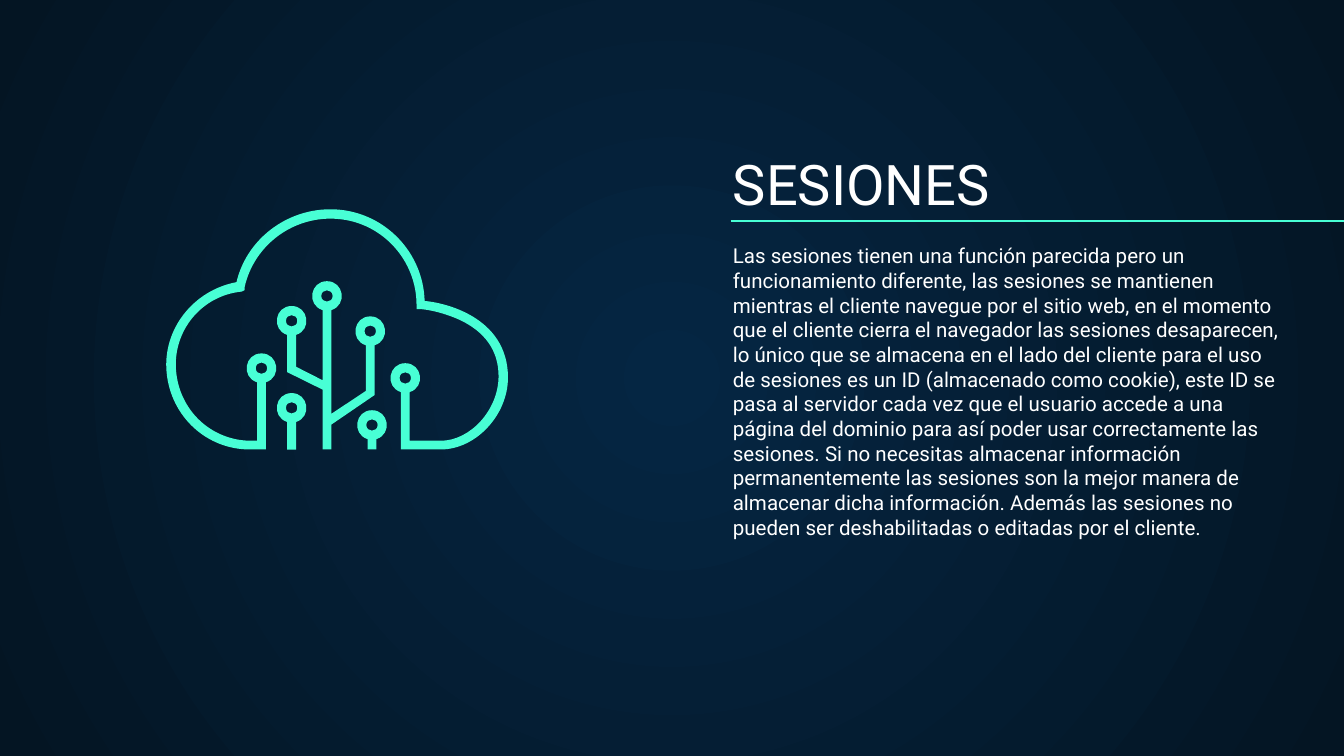
import math

from lxml import etree
from pptx import Presentation
from pptx import util as u
from pptx.dml.color import RGBColor
from pptx.enum import shapes, text
from pptx.oxml.ns import qn

NAVY = RGBColor(0x05, 0x26, 0x43)
NIGHT = RGBColor(0x04, 0x15, 0x23)
MINT = RGBColor(0x48, 0xFF, 0xD5)
WHITE = RGBColor(0xFF, 0xFF, 0xFF)
FONT = "Roboto"

# The icon is drawn on a grid with this unit
GRID = u.Cm(0.0254)
FINE = 20  # steps per grid unit, as freeform points are whole numbers
RING, HOLE, HALF_STEM = 11, 4.2, 3.3
FLOOR = 334.5  # where the stems and the cloud end

BODY = (
    "Las sesiones tienen una función parecida pero un funcionamiento diferente, "
    "las sesiones se mantienen mientras el cliente navegue por el sitio web, en el "
    "momento que el cliente cierra el navegador las sesiones desaparecen, lo único "
    "que se almacena en el lado del cliente para el uso de sesiones es un ID "
    "(almacenado como cookie), este ID se pasa al servidor cada vez que el usuario "
    "accede a una página del dominio para así poder usar correctamente las "
    "sesiones. Si no necesitas almacenar información permanentemente las sesiones "
    "son la mejor manera de almacenar dicha información. Además las sesiones no "
    "pueden ser deshabilitadas o editadas por el cliente."
)


def paint_background(slide):
    """Radial gradient from the centre of the slide."""
    fill = slide.background.fill
    fill.gradient()
    for stop, color, position in zip(fill.gradient_stops, (NAVY, NIGHT), (0, 1)):
        stop.color.rgb = color
        stop.position = position
    gradient = slide.element.find(".//" + qn("a:gradFill"))
    gradient.remove(gradient.find(qn("a:lin")))
    circle = etree.SubElement(gradient, qn("a:path"), path="circle")
    etree.SubElement(circle, qn("a:fillToRect"),
                     {side: "50000" for side in ("l", "t", "r", "b")})


def write_text(box, words, size, anchor):
    frame = box.text_frame
    frame.text = words
    frame.word_wrap = True
    frame.auto_size = text.MSO_AUTO_SIZE.NONE
    frame.vertical_anchor = anchor
    frame.margin_left = frame.margin_right = u.Cm(0.25)
    frame.margin_top = frame.margin_bottom = u.Cm(0.25)
    para = frame.paragraphs[0]
    para.alignment = text.PP_ALIGN.LEFT
    font = para.runs[0].font
    font.name, font.size, font.color.rgb = FONT, u.Pt(size), WHITE


def add_rule(slide, left, top, right):
    rule = slide.shapes.add_connector(
        shapes.MSO_CONNECTOR.STRAIGHT, u.Cm(left), u.Cm(top), u.Cm(right), u.Cm(top))
    rule.line.color.rgb = MINT
    rule.line.width = u.Pt(0.75)
    etree.SubElement(rule.element.spPr, qn("a:effectLst"))


# A contour is a list of segments: one point is a line, three are a cubic curve.
def ring(x, y):
    """Outer edge of a node, from the right side of its stem to the left."""
    drop = math.sqrt(RING ** 2 - HALF_STEM ** 2)
    sweep = math.pi - math.asin(HALF_STEM / RING)
    reach = 4 / 3 * math.tan(sweep / 4)
    side = HALF_STEM + reach * drop
    low = y + drop - reach * HALF_STEM
    top = y - RING
    return [[(x + HALF_STEM, y + drop)],
            [(x + side, low), (x + reach * RING, top), (x, top)],
            [(x - reach * RING, top), (x - side, low), (x - HALF_STEM, y + drop)]]


def hole(x, y):
    """Two half circles."""
    left, right, reach = x - HOLE, x + HOLE, HOLE * 4 / 3
    return [[(left, y)],
            [(left, y - reach), (right, y - reach), (right, y)],
            [(right, y + reach), (left, y + reach), (left, y)]]


def lines(*points):
    return [[point] for point in points]


def curves(*points):
    return [list(points[i:i + 3]) for i in range(0, len(points), 3)]


def bend_segments(outline, contours):
    """Turn each run of three curve points into one cubic curve."""
    steps = iter(outline.element.findall(".//" + qn("a:lnTo")))
    for contour in contours:
        for segment in contour[1:]:
            first, *others = [next(steps) for _ in segment]
            if others:
                first.tag = qn("a:cubicBezTo")
                for step in others:
                    first.append(step[0])
                    step.getparent().remove(step)


def add_outline(group, *contours):
    """One filled shape; contours after the first are holes."""
    builder = None
    for contour in contours:
        points = [(round(x * FINE), round(y * FINE))
                  for segment in contour for x, y in segment]
        if builder is None:
            builder = group.shapes.build_freeform(*points[0], scale=GRID / FINE)
        else:
            builder.move_to(*points[0])
        builder.add_line_segments(points[1:], close=True)
    outline = builder.convert_to_shape()
    bend_segments(outline, contours)
    outline.fill.solid()
    outline.fill.fore_color.rgb = MINT
    outline.line.fill.background()
    outline.shadow.inherit = False


def add_circuit(group):
    """Trunk with a branch on each side."""
    nodes = right, middle, left = (275.5, 246.5), (243.3, 220.3), (217, 238.8)
    trunk_left, trunk_right = middle[0] - HALF_STEM, middle[0] + HALF_STEM
    outer = (ring(*right)
             + lines((right[0] - HALF_STEM, 291), (trunk_right, 308))
             + ring(*middle)
             + lines((trunk_left, 283), (left[0] + HALF_STEM, 273))
             + ring(*left)
             + lines((left[0] - HALF_STEM, 277), (trunk_left, 290),
                     (trunk_left, FLOOR), (trunk_right, FLOOR),
                     (trunk_right, 316), (right[0] + HALF_STEM, 294)))
    add_outline(group, outer, *(hole(*node) for node in nodes))


def add_cloud(group):
    """Cloud band whose two ends rise into nodes."""
    left, right = (194.6, 274), (301.6, 281.3)
    outer = (
        lines((316, 224))
        + curves((315, 188), (287, 159), (252, 156), (217, 153), (184, 176),
                 (176, 210), (144, 216), (121, 245), (124, 277), (127, 310),
                 (154, 335), (187, FLOOR))
        + lines((left[0] + HALF_STEM, FLOOR)) + ring(*left)
        + lines((left[0] - HALF_STEM, 328), (187, 328))
        + curves((157, 328), (133, 305), (131, 275), (129, 246), (150, 220),
                 (180, 217))
        + lines((182, 216), (182, 214))
        + curves((189, 182), (219, 160), (252, 163), (285, 166), (310, 194),
                 (310, 227))
        + lines((310, 230), (313, 230))
        + curves((323, 231), (333, 234), (342, 238), (361, 247), (371, 261),
                 (371, 280), (371, 305), (350, 328), (328, 328))
        + lines((right[0] + HALF_STEM, 328)) + ring(*right)
        + lines((right[0] - HALF_STEM, FLOOR), (328, FLOOR))
        + curves((354, FLOOR), (378, 309), (378, 281), (378, 235), (329, 225),
                 (316, 224)))
    add_outline(group, outer, hole(*left), hole(*right))


def add_short_node(group, x, y):
    foot = lines((x - HALF_STEM, FLOOR), (x + HALF_STEM, FLOOR))
    add_outline(group, ring(x, y) + foot, hole(x, y))


def main():
    deck = Presentation()
    deck.slide_width, deck.slide_height = u.Cm(25.4), u.Cm(14.29)
    slide = deck.slides.add_slide(deck.slide_layouts[5])
    paint_background(slide)

    # Title, body and the rule between them
    title = slide.shapes.title
    title.left, title.top = u.Cm(13.6), u.Cm(2.67)
    title.width, title.height = u.Cm(9.8), u.Cm(1.68)
    write_text(title, "SESIONES", 30, text.MSO_ANCHOR.BOTTOM)
    body = slide.shapes.add_textbox(u.Cm(13.6), u.Cm(4.35), u.Cm(10.9), u.Cm(3.94))
    write_text(body, BODY, 11, text.MSO_ANCHOR.TOP)
    add_rule(slide, 13.81, 4.18, 26.16)

    # Cloud icon
    icon = slide.shapes.add_group_shape()
    add_circuit(icon)
    add_cloud(icon)
    add_short_node(icon, 217, 303.5)
    add_short_node(icon, 276.8, 316.3)

    deck.save("out.pptx")


if __name__ == "__main__":
    main()
